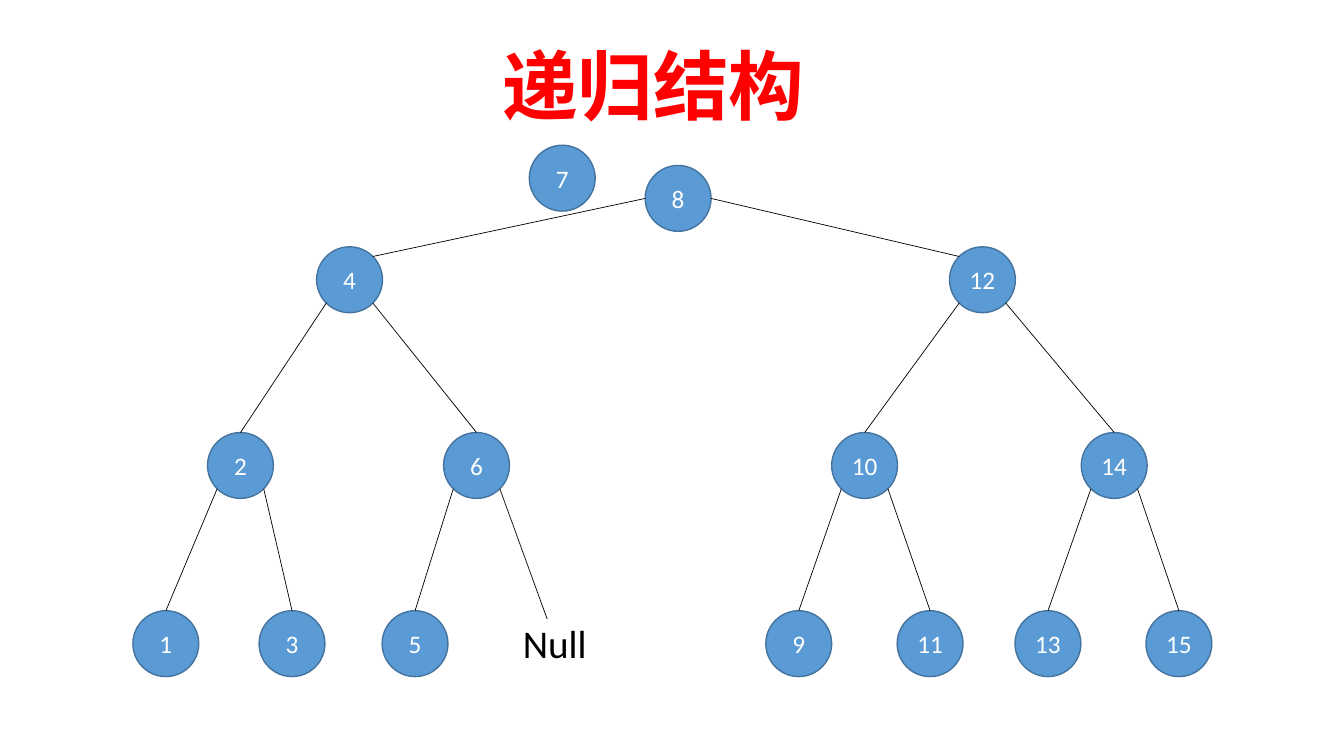
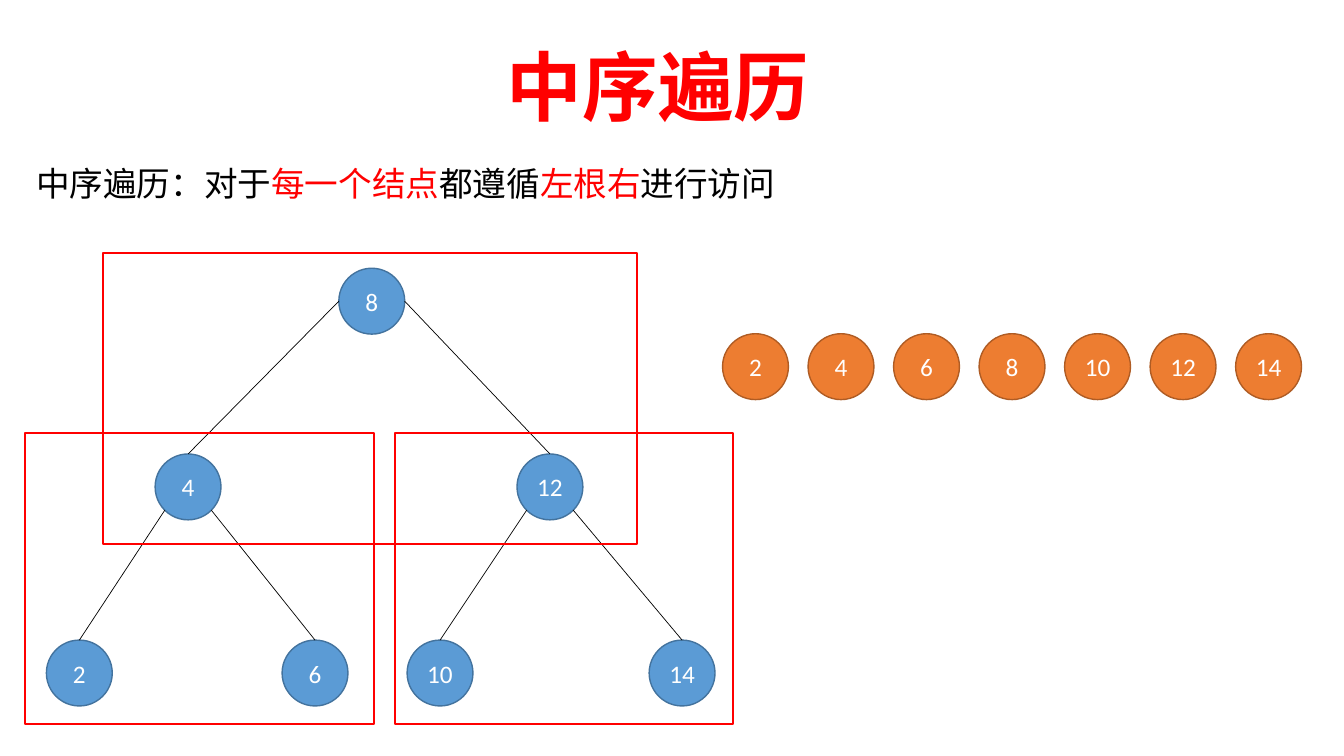
from lxml import etree
from pptx import Presentation
from pptx.dml.color import RGBColor
from pptx.enum.shapes import MSO_CONNECTOR, MSO_SHAPE
from pptx.enum.text import MSO_ANCHOR, PP_ALIGN
from pptx.oxml.ns import qn
from pptx.util import Cm, Pt

CIRCLE, RECTANGLE = MSO_SHAPE.OVAL, MSO_SHAPE.RECTANGLE
STRAIGHT = MSO_CONNECTOR.STRAIGHT
LEFT, CENTER = PP_ALIGN.LEFT, PP_ALIGN.CENTER
TOP, MIDDLE = MSO_ANCHOR.TOP, MSO_ANCHOR.MIDDLE

RED = RGBColor(0xFF, 0x00, 0x00)
BLACK = RGBColor(0x00, 0x00, 0x00)
WHITE = RGBColor(0xFF, 0xFF, 0xFF)
BLUE = RGBColor(0x5B, 0x9B, 0xD5)
DARK_BLUE = RGBColor(0x43, 0x73, 0x9E)
ORANGE = RGBColor(0xED, 0x7D, 0x31)
DARK_ORANGE = RGBColor(0xAF, 0x5C, 0x24)

TITLE_FONT = {"name": "Calibri", "size": Pt(54), "bold": True}
NODE_FONT = {"name": "Calibri", "size": Pt(18)}
NULL_FONT = {"name": "Calibri", "size": Pt(28)}
SENTENCE_FONT = {"name": "Calibri", "size": Pt(24)}
NODE_FRAME = {"margin_left": 0, "margin_right": 0, "word_wrap": False,
              "vertical_anchor": MIDDLE}
TEXT_FRAME = {"word_wrap": True, "vertical_anchor": TOP}

DIAMETER = 1.66
RIM = DIAMETER * (1 - 0.5 ** 0.5) / 2


def apply(target, values):
    for name, value in values.items():
        setattr(target, name, value)


def add_runs(paragraph, pieces, font, align):
    paragraph.alignment = align
    for words, color in pieces:
        run = paragraph.add_run()
        run.text = words
        apply(run.font, font)
        run.font.color.rgb = color


def add_title(slide, words, left, top):
    title = slide.shapes.title
    apply(title, {"left": Cm(left), "top": Cm(top),
                  "width": Cm(16.84), "height": Cm(2.57)})
    apply(title.text_frame, TEXT_FRAME)
    add_runs(title.text_frame.paragraphs[0], [(words, RED)], TITLE_FONT, LEFT)


def add_text(slide, pieces, font, left, top, width, height):
    box = slide.shapes.add_textbox(Cm(left), Cm(top), Cm(width), Cm(height))
    apply(box.text_frame, TEXT_FRAME)
    add_runs(box.text_frame.paragraphs[0], pieces, font, LEFT)


def add_node(slide, number, left, top, fill=BLUE, outline=DARK_BLUE):
    node = slide.shapes.add_shape(CIRCLE, Cm(left), Cm(top), Cm(DIAMETER), Cm(DIAMETER))
    node.shadow.inherit = False
    node.fill.solid()
    node.fill.fore_color.rgb = fill
    node.line.color.rgb = outline
    node.line.width = Pt(1)
    apply(node.text_frame, NODE_FRAME)
    add_runs(node.text_frame.paragraphs[0], [(str(number), WHITE)], NODE_FONT, CENTER)
    return node


def add_branch(slide, start, end):
    branch = slide.shapes.add_connector(STRAIGHT, *(Cm(value) for value in start + end))
    branch.line.color.rgb = BLACK
    branch.line.width = Pt(0.5)
    etree.SubElement(branch._element.spPr, qn("a:effectLst"))
    return branch


def rim_point(corner, right, low):
    left, top = corner
    return (left + (DIAMETER - RIM if right else RIM),
            top + (DIAMETER - RIM if low else RIM))


def add_tree(slide, left, top, levels):
    corners, nodes = [], []
    for drop, row in levels:
        for entry in row:
            if entry is None:
                corners.append(None)
                nodes.append(None)
                continue
            number, offset = entry
            corner = (left + offset, top + drop)
            corners.append(corner)
            nodes.append(add_node(slide, number, *corner))

    for index in range(1, len(nodes)):
        if nodes[index] is None:
            continue
        parent, right = corners[(index - 1) // 2], index % 2 == 0
        child = corners[index]
        if index < 3:
            start = (parent[0] + DIAMETER * right, parent[1] + DIAMETER / 2)
        else:
            start = rim_point(parent, right, True)
        if child[1] - parent[1] < 2 * DIAMETER:
            add_branch(slide, start, rim_point(child, not right, False))
        else:
            branch = add_branch(slide, start, (child[0] + DIAMETER / 2, child[1]))
            branch.end_connect(nodes[index], 0)
    return corners


def add_visit_order(slide, numbers, left, top, width):
    step = (width - DIAMETER) / (len(numbers) - 1)
    for place, number in enumerate(numbers):
        add_node(slide, number, left + place * step, top, ORANGE, DARK_ORANGE)


def add_subtree_frame(slide, left, top, width, height):
    frame = slide.shapes.add_shape(RECTANGLE, Cm(left), Cm(top), Cm(width), Cm(height))
    frame.shadow.inherit = False
    frame.fill.background()
    frame.line.color.rgb = RED
    frame.line.width = Pt(1.5)


def build_recursive_structure(slide):
    add_title(slide, "递归结构", 12.4, 0.86)
    corners = add_tree(slide, 3.35, 4.17, [
        (0, [(8, 12.91)]),
        (2.05, [(4, 4.63), (12, 20.58)]),
        (6.73, [(2, 1.88), (6, 7.83), (10, 17.61), (14, 23.9)]),
        (11.22, [(1, 0), (3, 3.18), (5, 6.28), None,
                 (9, 15.95), (11, 19.26), (13, 22.23), (15, 25.53)]),
    ])
    six = corners[4]
    add_branch(slide, rim_point(six, True, True), (13.79, 15.6))
    add_text(slide, [("Null", BLACK)], NULL_FONT, 12.93, 15.49, 2.26, 1.45)
    add_node(slide, 7, 13.34, 3.66)


def build_inorder_traversal(slide):
    add_title(slide, "中序遍历", 12.52, 0.89)
    add_tree(slide, 1.17, 6.76, [
        (0, [(8, 7.37)]),
        (4.68, [(4, 2.74), (12, 11.86)]),
        (9.37, [(2, 0), (6, 5.94), (10, 9.09), (14, 15.19)]),
    ])
    add_visit_order(slide, range(2, 15, 2), 18.21, 8.41, 14.59)
    add_text(slide, [("中序遍历：对于", BLACK), ("每一个结点", RED), ("都遵循", BLACK),
                     ("左根右", RED), ("进行访问", BLACK)],
             SENTENCE_FONT, 0.66, 3.99, 28.73, 1.27)
    for left, top, width in [(2.59, 6.38, 13.46), (0.64, 10.92, 8.79), (9.96, 10.92, 8.51)]:
        add_subtree_frame(slide, left, top, width, 7.32)


def main():
    deck = Presentation()
    deck.slide_width, deck.slide_height = Cm(33.87), Cm(19.05)
    title_only = deck.slide_layouts[5]
    for build in (build_recursive_structure, build_inorder_traversal):
        build(deck.slides.add_slide(title_only))
    deck.save("out.pptx")


if __name__ == "__main__":
    main()
